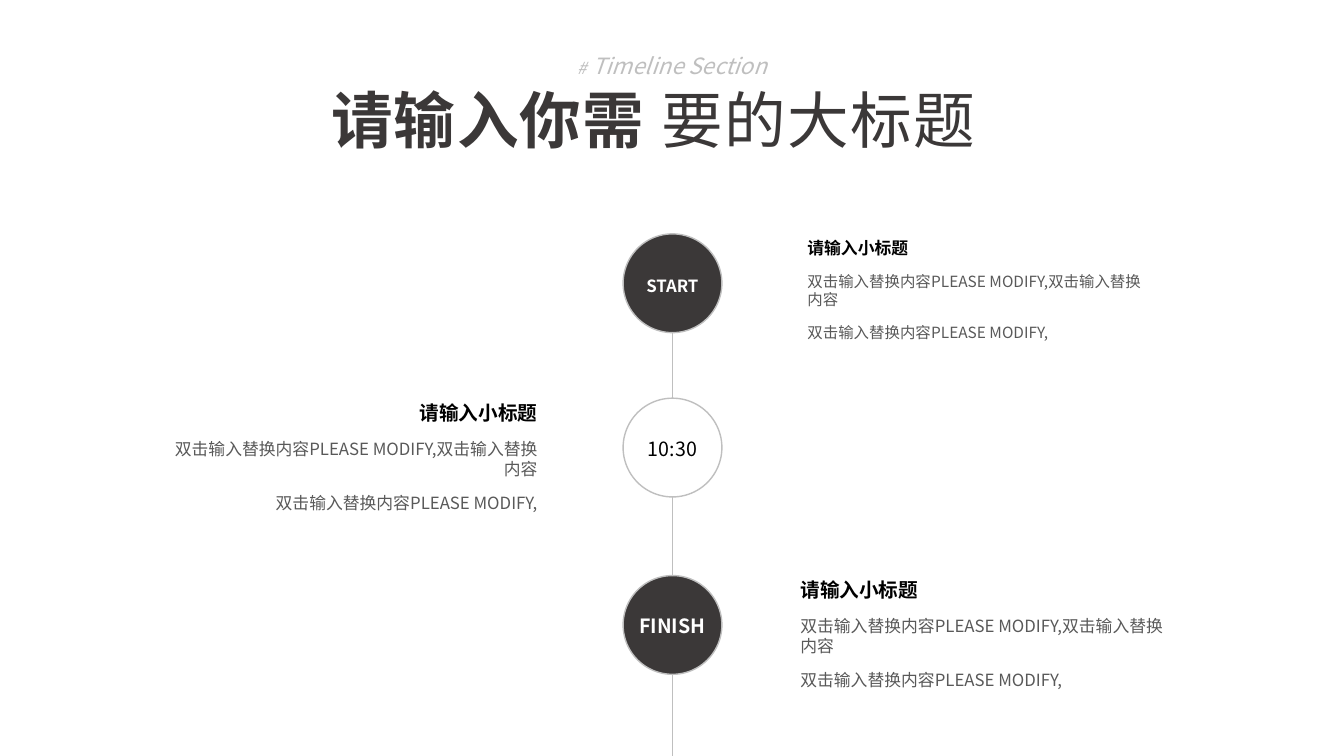
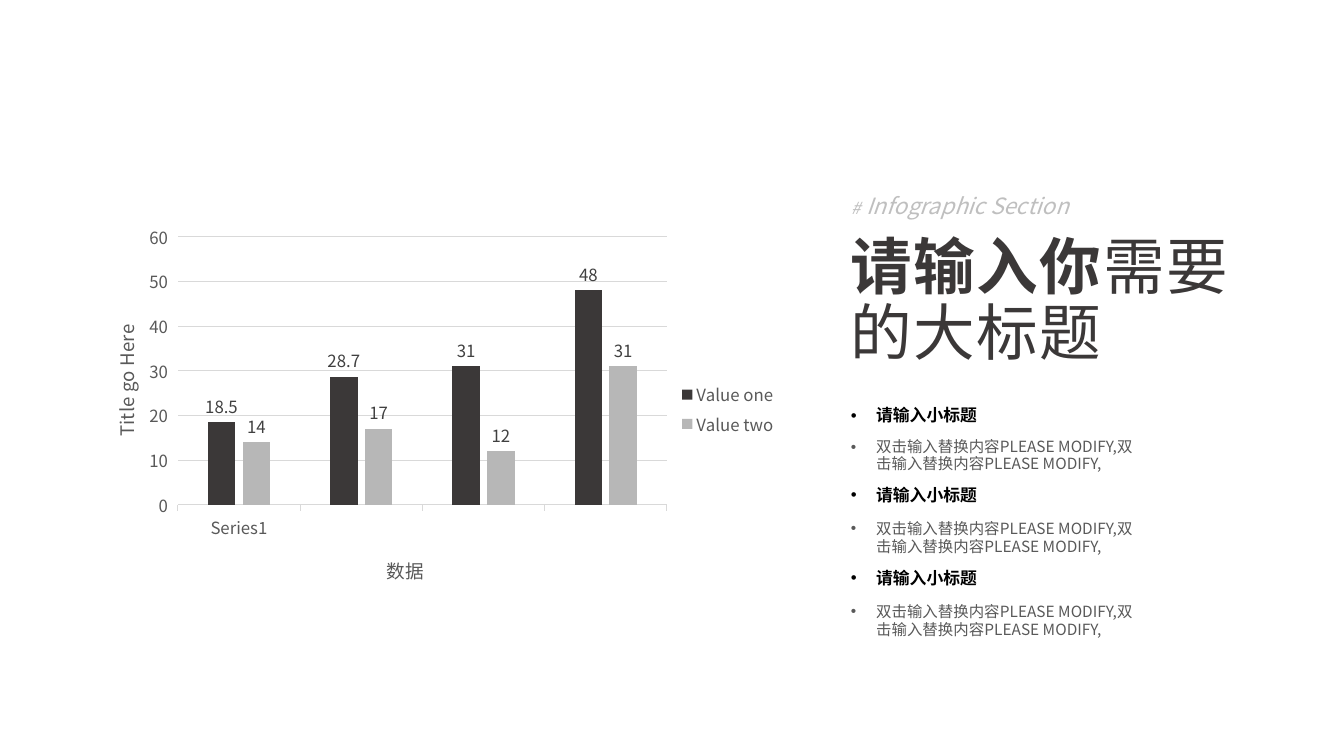
import pptx
import pptx.chart.data
import pptx.dml.color
import pptx.enum.chart
import pptx.enum.shapes
import pptx.enum.text
import pptx.oxml
import pptx.oxml.ns
import pptx.util
from pptx.util import Inches

# Shared style
FONT = "Noto Sans CJK SC"
DARK, SILVER, GREY, BLACK, WHITE = "3B3838", "BFBFBF", "595959", "000000", "FFFFFF"
LIGHT_BAR, GRID, LABEL = "B7B7B7", "D9D9D9", "404040"
LEFT = pptx.enum.text.PP_ALIGN.LEFT
CENTER = pptx.enum.text.PP_ALIGN.CENTER
RIGHT = pptx.enum.text.PP_ALIGN.RIGHT

SUBTITLE = "请输入小标题"
DETAIL = "双击输入替换内容PLEASE MODIFY,"
LONG_DETAIL = "双击输入替换内容PLEASE MODIFY,双击输入替换内容"


def color(value):
    return pptx.dml.color.RGBColor.from_string(value)


def style_font(font, size, value, bold=False, italic=False):
    font.name, font.size = FONT, pptx.util.Pt(size)
    font.bold, font.italic = bold, italic
    font.color.rgb = color(value)


def style_line(line, value, width):
    line.color.rgb = color(value)
    line.width = pptx.util.Pt(width)


# Text
def add_run(paragraph, text, size, value, bold=False, italic=False, spacing=0):
    run = paragraph.add_run()
    run.text = text
    style_font(run.font, size, value, bold, italic)
    properties = run._r.get_or_add_rPr()
    east_asian = properties.makeelement(pptx.oxml.ns.qn("a:ea"), {"typeface": FONT})
    properties.find(pptx.oxml.ns.qn("a:latin")).addnext(east_asian)
    if spacing:
        properties.set("spc", str(spacing * 100))


def next_paragraph(frame, align=LEFT, line_spacing=1.0, before=0):
    paragraph = frame.paragraphs[0]
    if paragraph.runs:
        paragraph = frame.add_paragraph()
    else:
        before = 0
    paragraph.alignment = align
    paragraph.line_spacing = line_spacing
    paragraph.space_before = pptx.util.Pt(before)
    return paragraph


def place(shape, left, top, width, height):
    shape.left, shape.top = Inches(left), Inches(top)
    shape.width, shape.height = Inches(width), Inches(height)
    frame = shape.text_frame
    frame.word_wrap = True
    frame.auto_size = pptx.enum.text.MSO_AUTO_SIZE.NONE
    frame.vertical_anchor = pptx.enum.text.MSO_ANCHOR.TOP
    return frame


def add_text_box(slide, *box):
    return place(slide.shapes.add_textbox(0, 0, 0, 0), *box)


def set_title(slide, box, lines, align):
    frame = place(slide.shapes.title, *box)
    for line in lines:
        paragraph = next_paragraph(frame, align, 0.9)
        for text, bold in line:
            add_run(paragraph, text, 44, DARK, bold, spacing=1)


def add_section_label(slide, left, top, text, align):
    frame = add_text_box(slide, left, top, 4.33, 0.41)
    paragraph = next_paragraph(frame, align, pptx.util.Pt(18))
    for part, size in (("#", 12), (" ", 20), (text, 16)):
        add_run(paragraph, part, size, SILVER, italic=True)


def add_detail_block(slide, left, top, width, size, align):
    frame = add_text_box(slide, left, top, width, 1.7)
    add_run(next_paragraph(frame, align, 0.9), SUBTITLE, size[0], BLACK, bold=True)
    for text in (LONG_DETAIL, DETAIL):
        add_run(next_paragraph(frame, align, before=10), text, size[1], GREY)


def add_bullet(paragraph):
    properties = paragraph._p.get_or_add_pPr()
    properties.set("marL", str(Inches(0.25)))
    properties.set("indent", str(Inches(-0.25)))
    bullet = properties.makeelement(pptx.oxml.ns.qn("a:buChar"), {"char": "•"})
    properties.append(bullet)


def fill_list(slide, box, detail_spacings):
    frame = place(slide.placeholders[1], *box)
    for detail_spacing in detail_spacings:
        for text, size, value, bold, spacing in (
            (SUBTITLE, 12, BLACK, True, 0.9),
            (DETAIL * 2, 11, GREY, False, detail_spacing),
        ):
            paragraph = next_paragraph(frame, LEFT, spacing, 10)
            add_bullet(paragraph)
            add_run(paragraph, text, size, value, bold)


# Timeline
def add_timeline_line(slide, x, top, bottom):
    connector = slide.shapes.add_connector(
        pptx.enum.shapes.MSO_CONNECTOR.STRAIGHT,
        Inches(x), Inches(top), Inches(x), Inches(bottom))
    style_line(connector.line, SILVER, 0.5)
    properties = connector._element.spPr
    properties.append(properties.makeelement(pptx.oxml.ns.qn("a:effectLst"), {}))


def add_milestone(slide, top, text, size, fill, text_color, bold):
    shape = slide.shapes.add_shape(
        pptx.enum.shapes.MSO_SHAPE.OVAL,
        Inches(6.18), Inches(top), Inches(0.98), Inches(0.98))
    shape.shadow.inherit = False
    shape.fill.solid()
    shape.fill.fore_color.rgb = color(fill)
    style_line(shape.line, SILVER, 1)
    frame = shape.text_frame
    frame.word_wrap = False
    frame.vertical_anchor = pptx.enum.text.MSO_ANCHOR.MIDDLE
    paragraph = next_paragraph(frame, CENTER, pptx.util.Pt(18))
    add_run(paragraph, text, size, text_color, bold)


# Chart
def set_layout(parent, inner=False, **fractions):
    target = '<c:layoutTarget val="inner"/>' if inner else ""
    modes = '<c:xMode val="edge"/><c:yMode val="edge"/>'
    values = "".join(f'<c:{name} val="{value}"/>' for name, value in fractions.items())
    layout = pptx.oxml.parse_xml(
        f'<c:layout {pptx.oxml.ns.nsdecls("c")}><c:manualLayout>'
        f"{target}{modes}{values}</c:manualLayout></c:layout>")
    existing = parent.find(pptx.oxml.ns.qn("c:layout"))
    if existing is None:
        parent.insert(0, layout)
    else:
        parent.replace(existing, layout)


def style_axis(axis, title, x, y):
    style_font(axis.tick_labels.font, 12, GREY)
    axis.major_tick_mark = pptx.enum.chart.XL_TICK_MARK.OUTSIDE
    paragraph = next_paragraph(axis.axis_title.text_frame, CENTER)
    add_run(paragraph, title, 13.3, GREY)
    set_layout(axis.axis_title._element, x=x, y=y)


def add_column_chart(slide):
    data = pptx.chart.data.CategoryChartData()
    data.categories = ["Series1", "", "", ""]
    data.add_series("Value one", (18.5, 28.7, 31, 48))
    data.add_series("Value two", (14, 17, 12, 31))
    chart = slide.shapes.add_chart(
        pptx.enum.chart.XL_CHART_TYPE.COLUMN_CLUSTERED,
        Inches(0.78), Inches(2.16), Inches(7.03), Inches(3.8), data).chart
    style_font(chart.font, 10, BLACK)
    chart.has_title = False
    chart.has_legend = True
    chart.legend.position = pptx.enum.chart.XL_LEGEND_POSITION.RIGHT
    chart.legend.include_in_layout = False
    style_font(chart.legend.font, 12, GREY)

    style_axis(chart.category_axis, "数据", 0.43, 0.87)
    style_line(chart.category_axis.format.line, GRID, 0.75)
    value_axis = chart.value_axis
    style_axis(value_axis, "Title go Here", 0.04, 0.27)
    value_axis.format.line.fill.background()
    value_axis.minimum_scale, value_axis.maximum_scale = 0, 60
    value_axis.major_unit = 10
    style_line(value_axis.major_gridlines.format.line, GRID, 0.75)

    plot = chart.plots[0]
    plot.gap_width, plot.overlap = 219, -27
    plot.vary_by_categories = False
    for series, fill in zip(plot.series, (DARK, LIGHT_BAR)):
        series.format.fill.solid()
        series.format.fill.fore_color.rgb = color(fill)
        labels = series.data_labels
        labels.show_value = True
        labels.position = pptx.enum.chart.XL_LABEL_POSITION.OUTSIDE_END
        style_font(labels.font, 12, LABEL)
    plot_area = chart._chartSpace.chart.plotArea
    set_layout(plot_area, inner=True, x=0.14, y=0.05, w=0.69, h=0.7)


# Slides
def build_timeline_slide(presentation):
    slide = presentation.slides.add_slide(presentation.slide_layouts[5])
    add_section_label(slide, 4.5, 0.5, "Timeline Section", CENTER)
    set_title(slide, (2.13, 0.85, 8.7, 1.48),
              [[("请输入你需 ", True), ("要的大标题", False)]], CENTER)
    for top, bottom in ((3, 4.8), (4.93, 7.5)):
        add_timeline_line(slide, 6.67, top, bottom)
    for milestone in (
        (2.32, "START", 12, DARK, WHITE, True),
        (3.95, "10:30", 14, WHITE, BLACK, False),
        (5.71, "FINISH", 14, DARK, WHITE, True),
    ):
        add_milestone(slide, *milestone)
    for block in (
        (7.91, 2.33, 3.61, (12, 11), LEFT),
        (1.53, 3.95, 3.9, (14, 12), RIGHT),
        (7.84, 5.71, 3.93, (14, 12), LEFT),
    ):
        add_detail_block(slide, *block)


def build_chart_slide(presentation):
    slide = presentation.slides.add_slide(presentation.slide_layouts[1])
    add_column_chart(slide)
    add_section_label(slide, 8.34, 1.88, "Infographic Section", LEFT)
    set_title(slide, (8.34, 2.29, 4.9, 1.6),
              [[("请输入你", True), ("需要", False)], [("的大标题", False)]], LEFT)
    fill_list(slide, (8.34, 3.99, 3.13, 2.97), (0.9, 1.0, 1.0))


def main():
    presentation = pptx.Presentation()
    presentation.slide_width = Inches(13.33)
    presentation.slide_height = Inches(7.5)
    build_timeline_slide(presentation)
    build_chart_slide(presentation)
    presentation.save("out.pptx")


if __name__ == "__main__":
    main()
